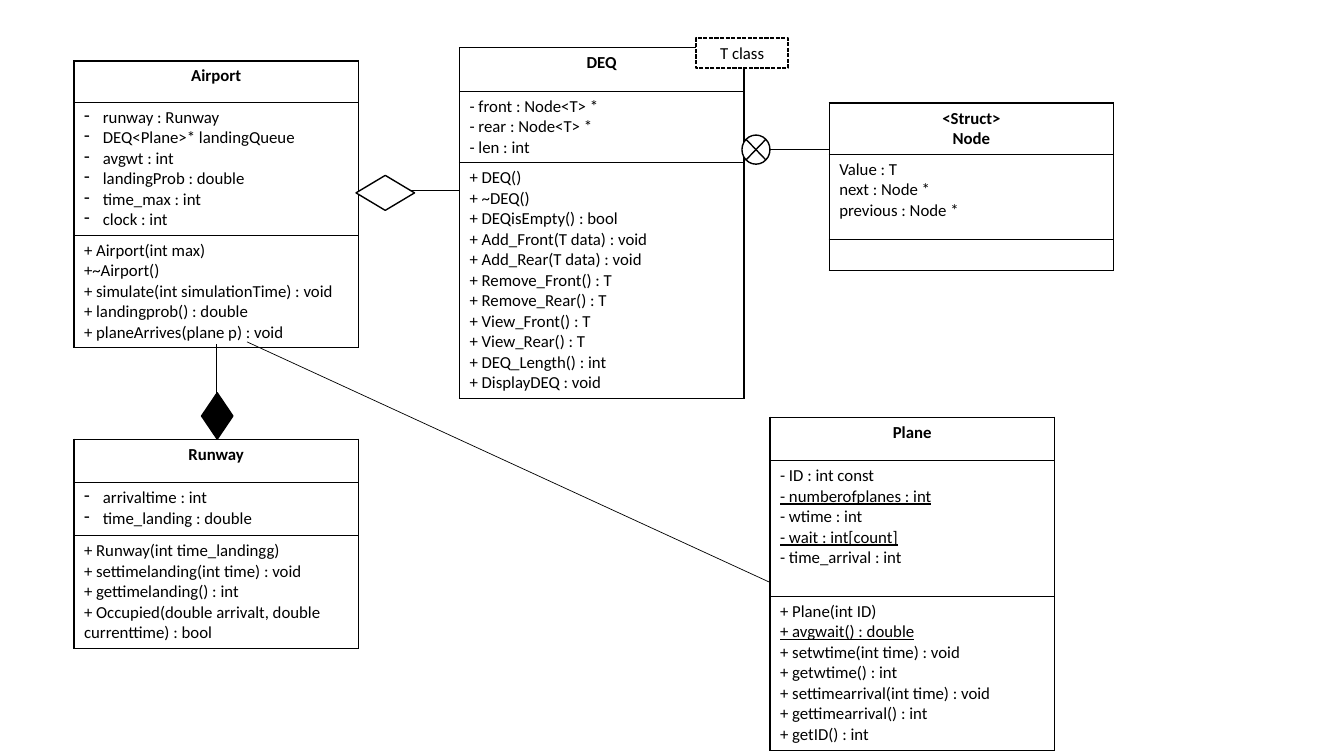
from dataclasses import dataclass

import lxml.etree
import pptx
import pptx.dml.color
import pptx.enum.dml
import pptx.enum.shapes
import pptx.enum.text
import pptx.oxml.ns
import pptx.util

Pt = pptx.util.Pt
MSO_SHAPE = pptx.enum.shapes.MSO_SHAPE
ALIGN = pptx.enum.text.PP_ALIGN
qn = pptx.oxml.ns.qn

BLACK = "000000"
WHITE = "FFFFFF"
CLASS_WIDTH = 203.2
FONT_SIZE = 12
DASH_INDENT = 13.5


@dataclass(frozen=True)
class UmlClass:
    left: float
    top: float
    heights: tuple[float, float, float]
    name: str
    attributes: str
    methods: str
    dashed: bool = False
    static: tuple[str, ...] = ()


@dataclass(frozen=True)
class Link:
    start: tuple[float, float]
    end: tuple[float, float]


@dataclass(frozen=True)
class Marker:
    kind: MSO_SHAPE
    left: float
    top: float
    width: float
    height: float
    fill: str = WHITE
    label: str = ""
    dashed: bool = False


CLASSES = [
    UmlClass(
        550, 298, (31, 97, 110), "Plane",
        "- ID : int const\n- numberofplanes : int\n- wtime : int\n"
        "- wait : int[count]\n- time_arrival : int",
        "+ Plane(int ID)\n+ avgwait() : double\n+ setwtime(int time) : void\n"
        "+ getwtime() : int\n+ settimearrival(int time) : void\n"
        "+ gettimearrival() : int\n+ getID() : int",
        static=("- numberofplanes : int", "- wait : int[count]", "+ avgwait() : double"),
    ),
    UmlClass(
        328.2, 34.2, (31, 51, 168.5), "DEQ",
        "- front : Node<T> *\n- rear : Node<T> *\n- len : int",
        "+ DEQ()\n+ ~DEQ()\n+ DEQisEmpty() : bool\n+ Add_Front(T data) : void\n"
        "+ Add_Rear(T data) : void\n+ Remove_Front() : T\n+ Remove_Rear() : T\n"
        "+ View_Front() : T\n+ View_Rear() : T\n+ DEQ_Length() : int\n"
        "+ DisplayDEQ : void",
    ),
    UmlClass(
        592.3, 73.6, (36.5, 61, 22), "<Struct>\nNode",
        "Value : T\nnext : Node *\nprevious : Node *", "",
    ),
    UmlClass(
        52.8, 313.7, (31, 38, 80.5), "Runway",
        "arrivaltime : int\ntime_landing : double",
        "+ Runway(int time_landingg)\n+ settimelanding(int time) : void\n"
        "+ gettimelanding() : int\n"
        "+ Occupied(double arrivalt, double currenttime) : bool",
        dashed=True,
    ),
    UmlClass(
        52.8, 43.5, (29.5, 95, 80.5), "Airport",
        "runway : Runway\nDEQ<Plane>* landingQueue\navgwt : int\n"
        "landingProb : double\ntime_max : int\nclock : int",
        "+ Airport(int max)\n+~Airport()\n+ simulate(int simulationTime) : void\n"
        "+ landingprob() : double\n+ planeArrives(plane p) : void",
        dashed=True,
    ),
]

LINKS = [
    Link((550, 106.7), (592.3, 106.7)),
    Link((154.4, 246), (154.4, 313.7)),
    Link((176.4, 244.2), (550, 416)),
    Link((255.8, 136.1), (328.2, 136.1)),
]

MARKERS = [
    Marker(MSO_SHAPE.RECTANGLE, 497.2, 27.2, 65.8, 21.5, label="T class", dashed=True),
    Marker(MSO_SHAPE.FLOWCHART_SUMMING_JUNCTION, 530, 96.5, 20, 20.8),
    Marker(MSO_SHAPE.DIAMOND, 144, 280.6, 22.4, 33.1, BLACK),
    Marker(MSO_SHAPE.DIAMOND, 254.3, 125.3, 41.8, 25),
]


def color(hex_code: str) -> pptx.dml.color.RGBColor:
    return pptx.dml.color.RGBColor.from_string(hex_code)


def format_text(frame, bold: bool = False, static: tuple[str, ...] = ()) -> None:
    for paragraph in frame.paragraphs:
        if not paragraph.runs:
            lxml.etree.SubElement(
                paragraph._p, qn("a:endParaRPr"), sz=str(FONT_SIZE * 100)
            )
        for run in paragraph.runs:
            run.font.name = "Calibri"
            run.font.size = Pt(FONT_SIZE)
            run.font.bold = bold
            run.font.underline = paragraph.text in static
            run.font.color.rgb = color(BLACK)


def add_dash_bullet(paragraph) -> None:
    properties = paragraph._p.get_or_add_pPr()
    properties.set("marL", str(Pt(DASH_INDENT)))
    properties.set("indent", str(-Pt(DASH_INDENT)))
    lxml.etree.SubElement(properties, qn("a:buChar"), char="-")


def add_borders(cell) -> None:
    properties = cell._tc.get_or_add_tcPr()
    for side in ("lnL", "lnR", "lnT", "lnB"):
        border = lxml.etree.SubElement(properties, qn(f"a:{side}"), w=str(Pt(1)))
        solid = lxml.etree.SubElement(border, qn("a:solidFill"))
        lxml.etree.SubElement(solid, qn("a:srgbClr"), val=BLACK)


def draw_class(slide, uml: UmlClass) -> None:
    table = slide.shapes.add_table(
        3, 1, Pt(uml.left), Pt(uml.top), Pt(CLASS_WIDTH), Pt(sum(uml.heights))
    ).table
    table.first_row = False
    table.horz_banding = False
    sections = (uml.name, uml.attributes, uml.methods)
    for index, (height, section) in enumerate(zip(uml.heights, sections)):
        table.rows[index].height = Pt(height)
        cell = table.cell(index, 0)
        add_borders(cell)
        cell.fill.background()
        cell.text_frame.text = section
        format_text(cell.text_frame, bold=index == 0, static=uml.static)
        for paragraph in cell.text_frame.paragraphs:
            paragraph.alignment = ALIGN.CENTER if index == 0 else ALIGN.LEFT
            if uml.dashed and index == 1:
                add_dash_bullet(paragraph)


def draw_link(slide, link: Link) -> None:
    connector = slide.shapes.add_connector(
        pptx.enum.shapes.MSO_CONNECTOR.STRAIGHT,
        *(Pt(value) for value in link.start + link.end),
    )
    connector.line.color.rgb = color(BLACK)
    connector.line.width = Pt(0.5)
    lxml.etree.SubElement(connector._element.spPr, qn("a:effectLst"))


def draw_marker(slide, marker: Marker) -> None:
    symbol = slide.shapes.add_shape(
        marker.kind, Pt(marker.left), Pt(marker.top), Pt(marker.width), Pt(marker.height)
    )
    symbol.shadow.inherit = False
    symbol.fill.solid()
    symbol.fill.fore_color.rgb = color(marker.fill)
    symbol.line.color.rgb = color(BLACK)
    symbol.line.width = Pt(1)
    if marker.dashed:
        symbol.line.dash_style = pptx.enum.dml.MSO_LINE.SQUARE_DOT
    if marker.label:
        symbol.text_frame.text = marker.label
        symbol.text_frame.paragraphs[0].alignment = ALIGN.CENTER
        format_text(symbol.text_frame)


def main() -> None:
    deck = pptx.Presentation()
    deck.slide_width = Pt(960)
    deck.slide_height = Pt(540)
    diagram = deck.slides.add_slide(deck.slide_layouts[6])
    for uml in CLASSES:
        draw_class(diagram, uml)
    for link in LINKS:
        draw_link(diagram, link)
    for marker in MARKERS:
        draw_marker(diagram, marker)
    deck.save("out.pptx")


if __name__ == "__main__":
    main()
